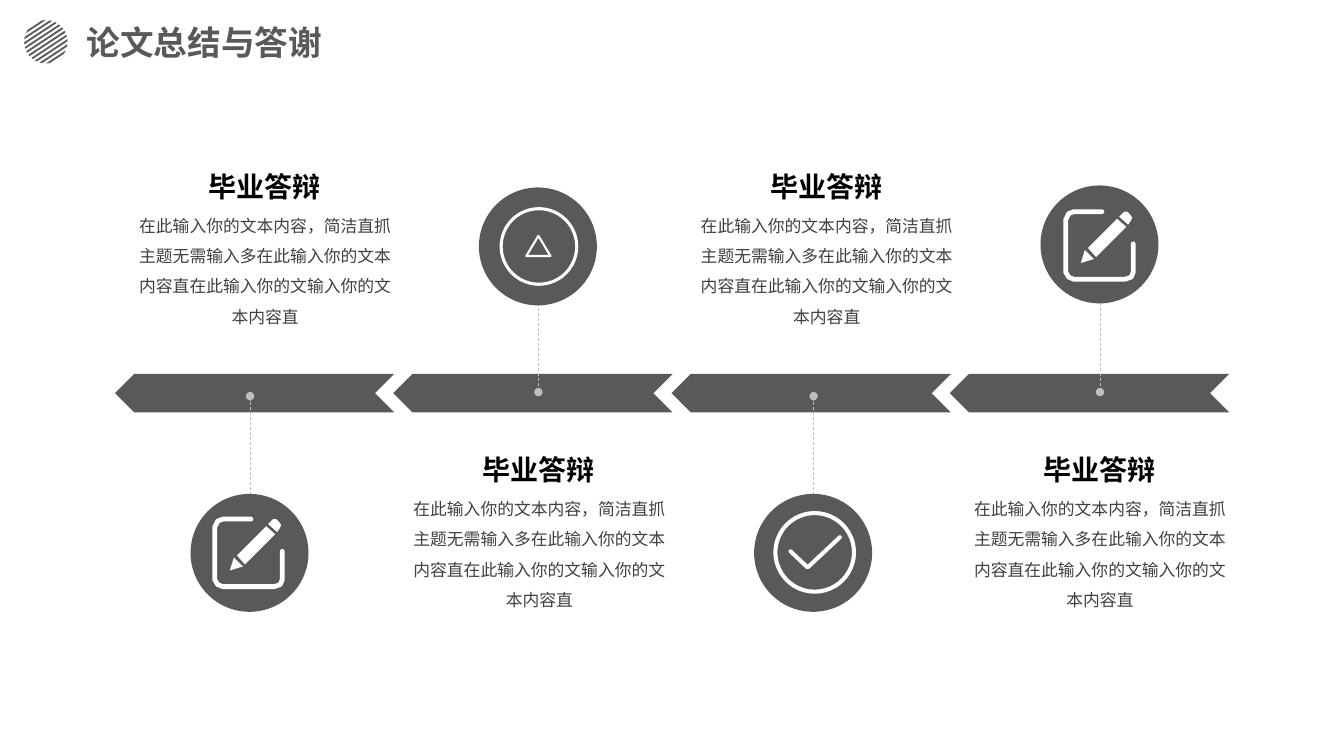
"""Build the thesis summary slide: four arrows with alternating icons and texts."""
from math import sqrt

from lxml.etree import SubElement
from pptx import Presentation
from pptx.dml.color import RGBColor
from pptx.enum.dml import MSO_LINE
from pptx.enum.shapes import MSO_CONNECTOR, MSO_SHAPE
from pptx.enum.text import MSO_AUTO_SIZE, PP_ALIGN
from pptx.oxml.ns import qn
from pptx.util import Pt

PX = 9144
COLORS = {"gray": "595959", "pale": "BFBFBF", "body": "404040", "black": "000000", "white": "FFFFFF"}
FORMATS = {
    "title": {"size": Pt(24), "bold": True, "color": "gray"},
    "heading": {"size": Pt(20), "bold": True, "color": "black"},
    "body": {"size": Pt(12), "bold": False, "color": "body"},
}
HEADING = "毕业答辩"
BODY = "在此输入你的文本内容，简洁直抓主题无需输入多在此输入你的文本内容直在此输入你的文输入你的文本内容直"


def paint(shape, fill=None, line=None, weight=0):
    shape.shadow.inherit = False
    if fill:
        shape.fill.solid()
        shape.fill.fore_color.rgb = RGBColor.from_string(COLORS[fill])
    else:
        shape.fill.background()
    if line:
        shape.line.color.rgb = RGBColor.from_string(COLORS[line])
        shape.line.width = Pt(weight)
        outline = shape._element.spPr.find(qn("a:ln"))
        outline.set("cap", "rnd")
        SubElement(outline, qn("a:round"))
    else:
        shape.line.fill.background()


def add_text(page, text, style, left, top, width, height, wrap=True):
    box = page.shapes.add_textbox(left * PX, top * PX, width * PX, height * PX)
    frame = box.text_frame
    frame.word_wrap = wrap
    frame.auto_size = MSO_AUTO_SIZE.SHAPE_TO_FIT_TEXT
    para = frame.paragraphs[0]
    span = para.add_run()
    span.text = text
    span.font.name = "Arial"
    for name, value in FORMATS[style].items():
        if name == "color":
            span.font.color.rgb = RGBColor.from_string(COLORS[value])
        else:
            setattr(span.font, name, value)
    return frame, para


deck = Presentation()
deck.slide_width, deck.slide_height = 1333 * PX, 750 * PX
page = deck.slides.add_slide(deck.slide_layouts[6])

frame, para = add_text(page, "论文总结与答谢", "title", 86, 22, 262, 40)
for side in ("left", "top", "right", "bottom"):
    setattr(frame, f"margin_{side}", 0)

for index in range(4):
    chevron = page.shapes.add_shape(
        MSO_SHAPE.CHEVRON, (114 + 276 * index) * PX, 371 * PX, 277 * PX, 38 * PX)
    chevron.rotation = 180
    paint(chevron, fill="gray")

PENCIL = [
    ([(64, 15), (55, 7), (58, 4), (60, 2), (63, 2), (66, 5), (68, 8), (66, 12)], True, 0),
    ([(21, 40), (30, 49), (17, 53)], True, 0),
    ([(62, 17), (32, 47), (24, 38), (53, 9)], True, 0),
    ([(38, 2), (10, 2), (5, 4), (2, 10), (2, 62), (5, 67), (10, 69),
      (61, 69), (67, 67), (69, 62), (69, 34)], False, 3.4),
]
TRIANGLE = [([(39, 29), (51, 49), (27, 49)], True, 1.5)]
CHECK = [([(17, 40), (34, 56), (66, 26)], False, 2.9)]

STEPS = [
    {"text": (124, 163), "circle": (189, 490), "icon": (211, 513), "parts": PENCIL, "ring": None},
    {"text": (396, 444), "circle": (475, 186), "icon": (495, 205), "parts": TRIANGLE, "ring": (75, 2.2)},
    {"text": (681, 163), "circle": (748, 490), "icon": (767, 507), "parts": CHECK, "ring": (78, 2.9)},
    {"text": (952, 444), "circle": (1032, 184), "icon": (1055, 208), "parts": PENCIL, "ring": None},
]

for step in STEPS:
    left, top = step["circle"]
    middle = left + 59
    start, end = (516, 393) if top > 371 else (266, 389)
    link = page.shapes.add_connector(
        MSO_CONNECTOR.STRAIGHT, middle * PX, start * PX, middle * PX, end * PX)
    link.line.color.rgb = RGBColor.from_string(COLORS["pale"])
    link.line.width = Pt(0.5)
    link.line.dash_style = MSO_LINE.DASH
    properties = link._element.spPr
    SubElement(properties.find(qn("a:ln")), qn("a:tailEnd"), type="oval")
    SubElement(properties, qn("a:effectLst"))

    circle = page.shapes.add_shape(MSO_SHAPE.OVAL, left * PX, top * PX, 117 * PX, 117 * PX)
    paint(circle, fill="gray")

    icon_left, icon_top = step["icon"]
    if step["ring"]:
        size, weight = step["ring"]
        ring = page.shapes.add_shape(
            MSO_SHAPE.OVAL, (icon_left + 2) * PX, (icon_top + 2) * PX, size * PX, size * PX)
        paint(ring, line="white", weight=weight)
    for points, closed, weight in step["parts"]:
        corners = [((icon_left + x) * PX, (icon_top + y) * PX) for x, y in points]
        builder = page.shapes.build_freeform(*corners[0])
        builder.add_line_segments(corners[1:], close=closed)
        part = builder.convert_to_shape()
        if weight:
            paint(part, line="white", weight=weight)
        else:
            paint(part, fill="white")

    text_left, text_top = step["text"]
    frame, para = add_text(page, HEADING, "heading", text_left + 73, text_top, 131, 43, wrap=False)
    para.alignment = PP_ALIGN.CENTER
    frame, para = add_text(page, BODY, "body", text_left, text_top + 36, 278, 131)
    para.alignment = PP_ALIGN.CENTER
    para.line_spacing = 1.5

center_x, center_y, radius = 45.5, 41.5, 21.5
badge_builder = None
for index in range(10):
    middle = 4.2 * (index - 4.5)
    upper, lower = [
        [(round((center_x + side * sqrt(radius ** 2 - edge ** 2)) * PX), round((center_y + edge) * PX))
         for side in (-1, 1)]
        for edge in (middle - 0.9, middle + 0.9)]
    if badge_builder is None:
        badge_builder = page.shapes.build_freeform(*upper[0])
    else:
        badge_builder.move_to(*upper[0])
    badge_builder.add_line_segments([upper[1], lower[1], lower[0]], close=True)
badge = badge_builder.convert_to_shape()
badge.rotation = -33.4
paint(badge, fill="gray")

deck.save("out.pptx")
